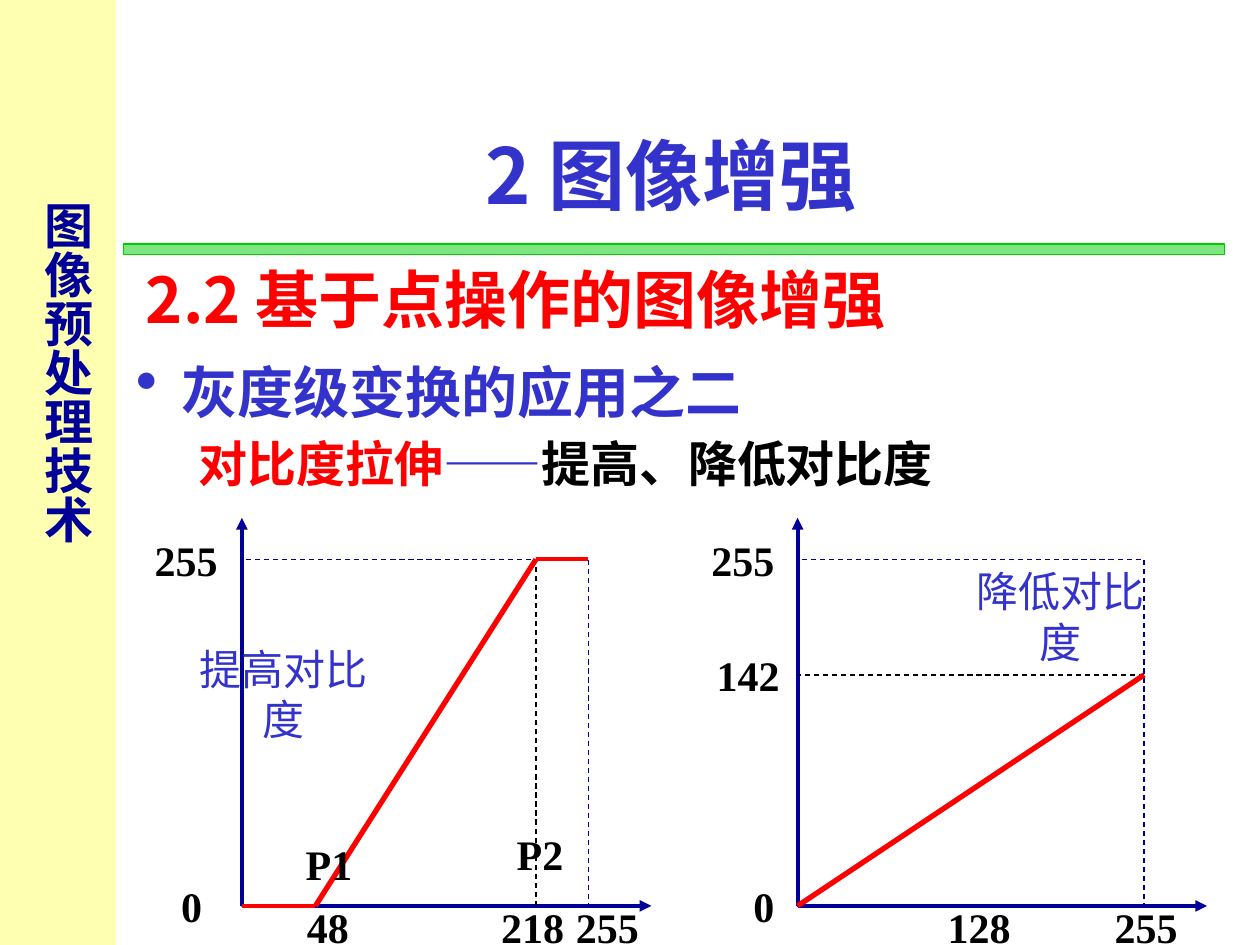
from pptx import Presentation, util as u
from pptx.dml.color import RGBColor
from pptx.enum import dml, shapes, text
from pptx.oxml.ns import qn
from lxml import etree

CELL = 1 / 12
SANS, SERIF = "Noto Sans CJK SC", "Times New Roman"
NAVY, BLUE, RED, BLACK = "000099", "3333CC", "FF0000", "000000"
MID, TOP = text.MSO_ANCHOR.MIDDLE, text.MSO_ANCHOR.TOP
LEFT, CENTER = text.PP_ALIGN.LEFT, text.PP_ALIGN.CENTER


def color(code):
    return RGBColor.from_string(code)


def inches(*nums):
    return [u.Inches(n) for n in nums]


def add_run(para, words, size, code, font=SANS, bold=True):
    run = para.add_run()
    run.text = words
    run.font.size = u.Pt(size)
    run.font.bold = bold
    run.font.name = font
    run.font.color.rgb = color(code)
    etree.SubElement(run._r.get_or_add_rPr(), qn("a:ea"), typeface=font)


def add_text(slide, box, anchor=MID, align=LEFT, wrap=True):
    frame = slide.shapes.add_textbox(*inches(*box)).text_frame
    frame.word_wrap = wrap
    frame.vertical_anchor = anchor
    frame.paragraphs[0].alignment = align
    return frame


def add_rect(slide, box, fill=None, line=None, dash=False):
    rect = slide.shapes.add_shape(shapes.MSO_SHAPE.RECTANGLE, *inches(*box))
    rect.shadow.inherit = False
    if fill:
        rect.fill.solid()
        rect.fill.fore_color.rgb = color(fill)
        tint = rect._element.spPr.find(qn("a:solidFill"))[0]
        etree.SubElement(tint, qn("a:alpha"), val="50000")
    else:
        rect.fill.background()
    if line:
        rect.line.color.rgb = color(line)
        rect.line.width = u.Pt(0.75)
    else:
        rect.line.fill.background()
    if dash:
        rect.line.dash_style = dml.MSO_LINE.DASH


def add_line(slide, start, end, code, width, dash=False, arrow=False):
    line = slide.shapes.add_connector(
        shapes.MSO_CONNECTOR.STRAIGHT, *inches(*start, *end))
    line.line.color.rgb = color(code)
    line.line.width = u.Pt(width)
    if dash:
        line.line.dash_style = dml.MSO_LINE.DASH
    if arrow:
        etree.SubElement(line.line._get_or_add_ln(), qn("a:tailEnd"), type="triangle")
    etree.SubElement(line._element.spPr, qn("a:effectLst"))


def side_bar(slide, box):
    left, top, wide, high = box
    add_rect(slide, box, "FFFF66")
    frame = add_text(slide, (left + 0.22 * wide, top + 0.2 * high, 0.66, 0.5 * high))
    frame._txBody.bodyPr.set("vert", "eaVert")
    add_run(frame.paragraphs[0], "图像预处理技术", 28, NAVY)


def header(slide, box):
    left, top, wide, high = box
    frame = add_text(slide, (left + 0.1, top, wide - 0.24, high), MID, CENTER)
    add_run(frame.paragraphs[0], "2 图像增强", 44, BLUE)
    add_rect(slide, (left, top + 0.95 * high, wide, CELL), "00CC00", "00CC00")


def body(slide, box):
    left, top, wide, high = box
    frame = add_text(slide, (left + 0.08, top, wide, 0.7), TOP)
    add_run(frame.paragraphs[0], "2.2 基于点操作的图像增强", 36, RED)
    frame = add_text(slide, (left, top + 0.71, wide, high - 0.71), TOP)
    head, sub = frame.paragraphs[0], frame.add_paragraph()
    props = head._p.get_or_add_pPr()
    props.set("marL", str(u.Inches(0.25)))
    props.set("indent", str(-u.Inches(0.25)))
    tint = etree.SubElement(props, qn("a:buClr"))
    etree.SubElement(tint, qn("a:srgbClr"), val=BLUE)
    etree.SubElement(props, qn("a:buChar"), char="•")
    add_run(head, " ", 36, BLUE)
    add_run(head, "灰度级变换的应用之二", 32, BLUE)
    sub.level = 1
    sub._p.get_or_add_pPr().set("marL", str(u.Inches(0.5)))
    sub.line_spacing = u.Pt(38)
    for words, code in (("对比度拉伸", RED), ("——", BLUE), ("提高、降低对比度", BLACK)):
        add_run(sub, words, 28, code)


def graph(slide, box, guide, curve, marks, note):
    left, top, wide, high = box
    side = 33

    def spot(col, row):
        return left + col * CELL, top + high - row * CELL

    for end in ((left + wide, top + high), (left, top)):
        add_line(slide, spot(0, 0), end, NAVY, 2.25, arrow=True)
    add_rect(slide, (*spot(0, side), side * CELL, side * CELL), line=NAVY, dash=True)
    add_line(slide, spot(*guide[0]), spot(*guide[1]), BLACK, 0.75, dash=True)
    for start, end in zip(curve, curve[1:]):
        flat = start[1] == end[1]
        add_line(slide, spot(*start), spot(*end), RED, 2.25 if flat else 3)

    def label(words, col, row, span, **look):
        x, y = spot(col, row)
        frame = add_text(slide, (x - span / 2, y - 0.25, span, 0.5), MID, CENTER, False)
        add_run(frame.paragraphs[0], words, 24, **look)

    for words, col, row in marks:
        label(words, col, row, 0.7, code=BLACK, font=SERIF)
    label(*note, 1.86, code=BLUE, bold=False)


def main():
    deck = Presentation()
    deck.slide_width, deck.slide_height = inches(10, 7.5)
    slide = deck.slides.add_slide(deck.slide_layouts[6])
    side_bar(slide, (0, 0, 0.92, 7.5))
    header(slide, (0.98, 0.75, 8.74, 1.25))
    body(slide, (0.98, 2.02, 8.17, 2.29))
    graph(slide, (1.92, 4.11, 3.25, 3.08), ((28, 0), (28, 33)),
          ((0, 0), (7, 0), (28, 33), (33, 33)),
          (("0", -4.8, 0), ("48", 8.2, -2), ("218", 27.7, -2), ("255", 34.8, -2),
           ("255", -5.3, 33), ("P1", 8.3, 4), ("P2", 28.4, 5)),
          ("提高对比度", 4, 20.2))
    graph(slide, (6.33, 4.11, 3.25, 3.08), ((33, 22), (0, 22)),
          ((0, 0), (33, 22)),
          (("0", -3.2, 0), ("128", 17.3, -2), ("255", 33.2, -2),
           ("142", -4.7, 22), ("255", -5.2, 33)),
          ("降低对比度", 25, 27.6))
    deck.save("out.pptx")


if __name__ == "__main__":
    main()
